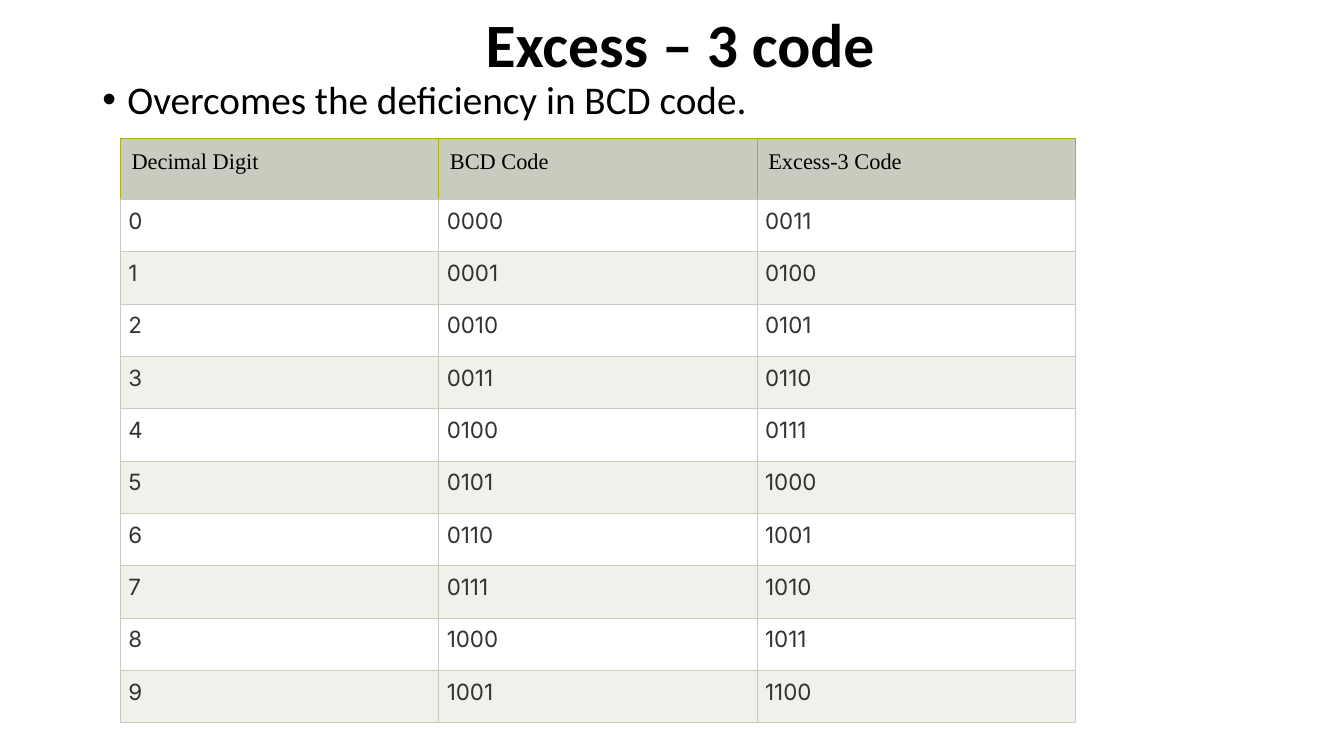
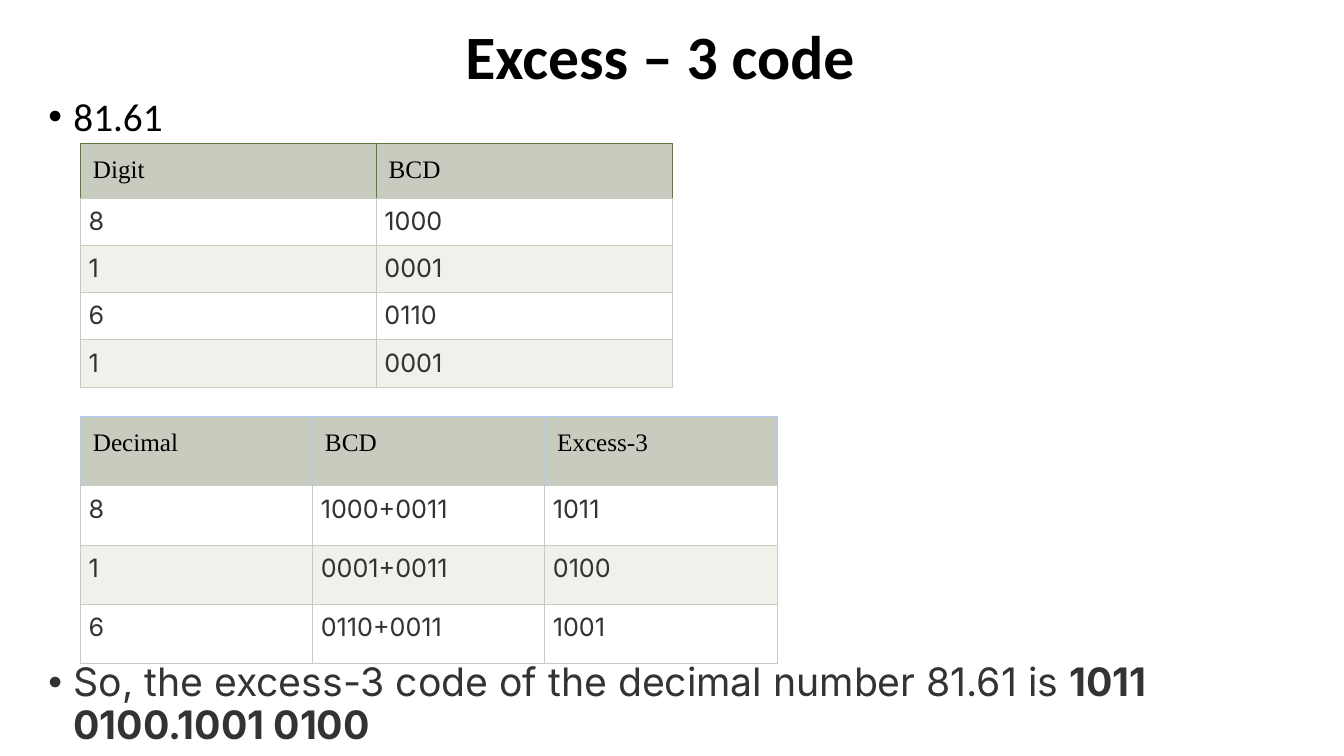
"""Build two slides that explain the Excess-3 code with digit tables."""
from lxml import etree
from pptx import Presentation
from pptx.dml.color import RGBColor
from pptx.enum import text
from pptx.oxml import ns
from pptx.util import Pt

BLACK = RGBColor(0x00, 0x00, 0x00)
WHITE = RGBColor(0xFF, 0xFF, 0xFF)
CHARCOAL = RGBColor(0x33, 0x33, 0x33)
SAGE = RGBColor(0xC7, 0xCC, 0xBE)
PALE_SAGE = RGBColor(0xEF, 0xF1, 0xEB)
OLIVE = RGBColor(0xB0, 0xAF, 0x14)
GREEN = RGBColor(0x60, 0x79, 0x3E)
SKY = RGBColor(0xB0, 0xC6, 0xF8)

TITLE = "Excess – 3 code"
BODY_PAD = 5.75
INDENT = 18


def set_font(paragraph, name, size, color, bold=False):
    """Give a whole paragraph one font."""
    font = paragraph.font
    font.name, font.size, font.bold = name, Pt(size), bold
    font.color.rgb = color


def add_frame(slide, left, top, width, height):
    """Add a wrapping text box and return its text frame."""
    frame = slide.shapes.add_textbox(Pt(left), Pt(top), Pt(width), Pt(height)).text_frame
    frame.word_wrap = True
    return frame


def add_title(slide, left, height):
    """Add the slide title, centred in a band at the top."""
    frame = add_frame(slide, left, 0, 828, height)
    frame.vertical_anchor = text.MSO_ANCHOR.MIDDLE
    heading = frame.paragraphs[0]
    heading.text = TITLE
    heading.alignment = text.PP_ALIGN.CENTER
    heading.line_spacing = 0.9
    set_font(heading, "Calibri", 44, BLACK, bold=True)


def add_bullet(slide, left, top, width, height, wording, result="", name="Calibri", color=BLACK):
    """Add one bulleted statement with an optional bold result at its end."""
    statement = add_frame(slide, left, top, width, height).paragraphs[0]
    statement.line_spacing = 0.9
    properties = statement._p.get_or_add_pPr()
    properties.set("marL", str(Pt(INDENT)))
    properties.set("indent", str(-Pt(INDENT)))
    etree.SubElement(properties, ns.qn("a:buFont")).set("typeface", "Arial")
    etree.SubElement(properties, ns.qn("a:buChar")).set("char", "•")
    set_font(statement, name, 28, color)
    statement.add_run().text = wording
    if result:
        outcome = statement.add_run()
        outcome.text = result
        outcome.font.bold = True


def set_borders(cell, edge, bottom):
    """Draw the left, right and top borders in one colour and the bottom in another."""
    properties = cell._tc.get_or_add_tcPr()
    for position, (side, color) in enumerate(zip("LRTB", (edge, edge, edge, bottom))):
        line = etree.Element(ns.qn(f"a:ln{side}"), w=str(Pt(0.75)))
        solid = etree.SubElement(line, ns.qn("a:solidFill"))
        etree.SubElement(solid, ns.qn("a:srgbClr")).set("val", str(color))
        properties.insert(position, line)


def fill_cell(cell, wording, fill, pad, edge):
    """Write one cell with its fill, margins and borders; return its paragraph."""
    cell.text = wording
    cell.margin_left = cell.margin_right = cell.margin_top = cell.margin_bottom = Pt(pad)
    cell.fill.solid()
    cell.fill.fore_color.rgb = fill
    set_borders(cell, edge, SAGE)
    return cell.text_frame.paragraphs[0]


def add_code_table(slide, left, top, column_width, header_height, row_height,
                   rows, size, header_pad, header_edge):
    """Add a striped table whose first row is the header."""
    columns = len(rows[0])
    height = header_height + row_height * (len(rows) - 1)
    table = slide.shapes.add_table(len(rows), columns, Pt(left), Pt(top),
                                   Pt(column_width * columns), Pt(height)).table
    table.first_row = table.horz_banding = False
    for column in table.columns:
        column.width = Pt(column_width)
    for r, values in enumerate(rows):
        table.rows[r].height = Pt(row_height if r else header_height)
        for c, value in enumerate(values):
            cell = table.cell(r, c)
            if r == 0:
                label = fill_cell(cell, value, SAGE, header_pad, header_edge)
                set_font(label, "Times New Roman", size, BLACK)
            else:
                digits = fill_cell(cell, value, WHITE if r % 2 else PALE_SAGE, BODY_PAD, SAGE)
                digits.alignment = text.PP_ALIGN.JUSTIFY
                set_font(digits, "Inter", size, CHARCOAL)


def build_code_slide(slide):
    """Show the BCD and Excess-3 codes of all ten digits."""
    add_title(slide, 72, 68.4)
    add_bullet(slide, 66, 54, 828, 42, "Overcomes the deficiency in BCD code.")
    codes = [(str(n), f"{n:04b}", f"{n + 3:04b}") for n in range(10)]
    add_code_table(slide, 86, 98.8, 227.4, 43.6, 37.4,
                   [("Decimal Digit", "BCD Code", "Excess-3 Code")] + codes, 16, 8, OLIVE)


def build_example_slide(slide):
    """Work through the conversion of 81.61."""
    add_title(slide, 57.6, 85.6)
    add_bullet(slide, 27.4, 66.2, 905, 36, "81.61")
    add_bullet(slide, 27.4, 470, 905, 69,
               "So, the excess-3 code of the decimal number 81.61 is ",
               "1011 0100.1001 0100", "Inter", CHARCOAL)
    bcd = [(str(n), f"{n:04b}") for n in (8, 1, 6, 1)]
    add_code_table(slide, 57.6, 102.4, 211.3, 38, 33.75,
                   [("Digit", "BCD")] + bcd, 18, 8.75, GREEN)
    sums = [(str(n), f"{n:04b}+0011", f"{n + 3:04b}") for n in (8, 1, 6)]
    add_code_table(slide, 57.6, 297.6, 165.8, 49.4, 42.3,
                   [("Decimal", "BCD", "Excess-3")] + sums, 18, 8.75, SKY)


def main():
    """Create the presentation and save it."""
    deck = Presentation()
    deck.slide_width, deck.slide_height = Pt(960), Pt(540)
    for build in (build_code_slide, build_example_slide):
        build(deck.slides.add_slide(deck.slide_layouts[6]))
    deck.save("out.pptx")


if __name__ == "__main__":
    main()
